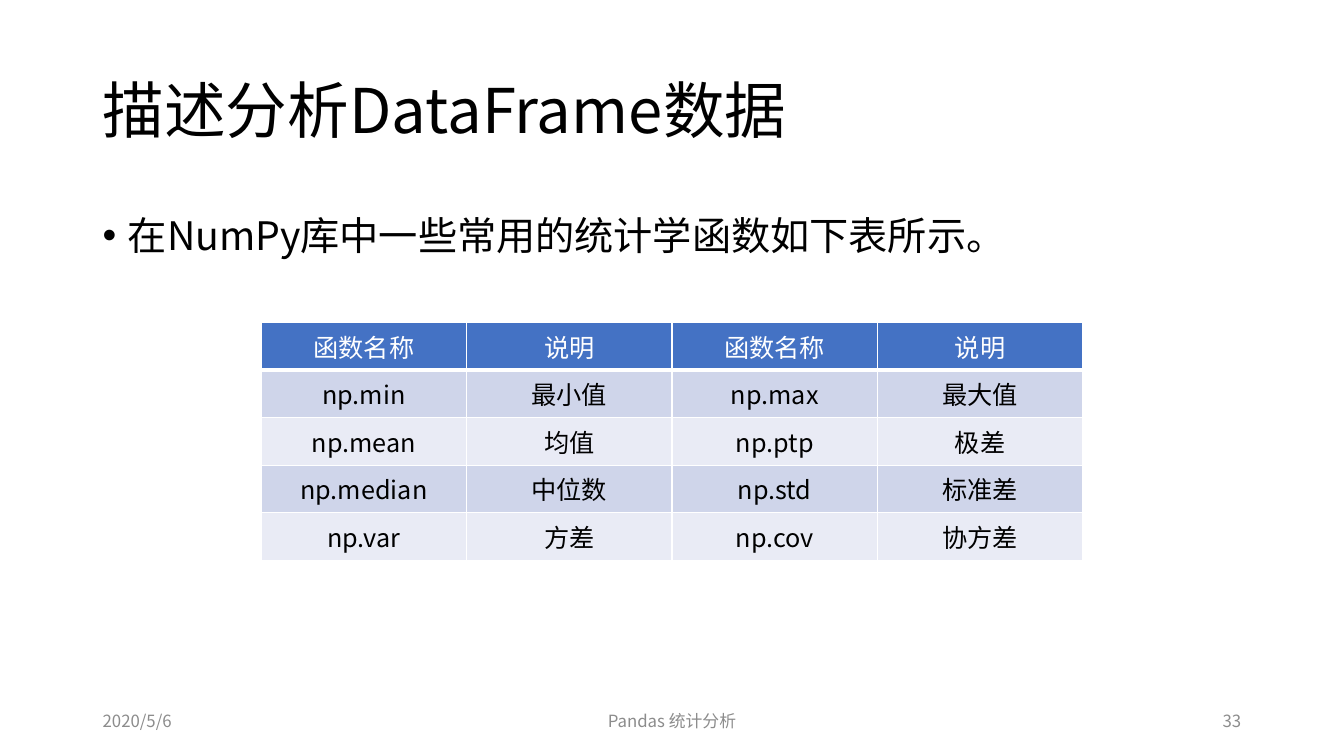
from lxml import etree
from pptx import Presentation
from pptx.dml.color import RGBColor
from pptx.enum.text import MSO_ANCHOR, PP_ALIGN
from pptx.oxml.ns import qn
from pptx.util import Inches, Pt

LEFT, CENTER, RIGHT = PP_ALIGN.LEFT, PP_ALIGN.CENTER, PP_ALIGN.RIGHT
TOP, MIDDLE = MSO_ANCHOR.TOP, MSO_ANCHOR.MIDDLE
BLACK = RGBColor(0x00, 0x00, 0x00)
WHITE = RGBColor(0xFF, 0xFF, 0xFF)
GRAY = RGBColor(0x8C, 0x8C, 0x8C)
HEADER_BLUE = RGBColor(0x44, 0x72, 0xC4)
BAND_DARK = RGBColor(0xCF, 0xD5, 0xEA)
BAND_LIGHT = RGBColor(0xE9, 0xEB, 0xF5)
FONT = "Noto Sans CJK SC"

SLIDE_WIDTH, SLIDE_HEIGHT = 13.33, 7.5
MARGIN = 0.92
CONTENT_WIDTH = SLIDE_WIDTH - 2 * MARGIN


def format_text(text_frame, size, color, alignment):
    paragraph = text_frame.paragraphs[0]
    paragraph.alignment = alignment
    for run in paragraph.runs:
        run.font.size = Pt(size)
        run.font.bold = False
        run.font.color.rgb = color
        run.font.name = FONT
        east_asian = etree.SubElement(run.font._element, qn("a:ea"))
        east_asian.set("typeface", FONT)


def add_text(text, left, top, width, height, size, color, alignment=LEFT, anchor=MIDDLE):
    box = slide.shapes.add_textbox(Inches(left), Inches(top), Inches(width), Inches(height))
    text_frame = box.text_frame
    text_frame.word_wrap = True
    text_frame.vertical_anchor = anchor
    text_frame.text = text
    format_text(text_frame, size, color, alignment)
    return text_frame.paragraphs[0]


presentation = Presentation()
presentation.slide_width = Inches(SLIDE_WIDTH)
presentation.slide_height = Inches(SLIDE_HEIGHT)
slide = presentation.slides.add_slide(presentation.slide_layouts[6])

# Title
title = add_text("描述分析DataFrame数据", MARGIN, 0.4, CONTENT_WIDTH, 1.45, 44, BLACK)
title.line_spacing = 0.9

# Bulleted introduction
introduction = add_text("在NumPy库中一些常用的统计学函数如下表所示。",
                        MARGIN, 2, CONTENT_WIDTH, 4.76, 28, BLACK, anchor=TOP)
introduction.line_spacing = 1.1
introduction.space_before = Pt(10)
properties = introduction._p.get_or_add_pPr()
properties.set("marL", str(Inches(0.25)))
properties.set("indent", str(-Inches(0.25)))
etree.SubElement(properties, qn("a:buFont")).set("typeface", "Arial")
etree.SubElement(properties, qn("a:buChar")).set("char", "•")

# Footer: date, topic, page number
FOOTER = [
    ("2020/5/6", MARGIN, 3, LEFT),
    ("Pandas 统计分析", (SLIDE_WIDTH - 4.5) / 2, 4.5, CENTER),
    ("33", SLIDE_WIDTH - MARGIN - 3, 3, RIGHT),
]
for text, left, width, alignment in FOOTER:
    add_text(text, left, 6.95, width, 0.4, 12, GRAY, alignment)

# Table of statistical functions
FUNCTIONS = [
    ["函数名称", "说明", "函数名称", "说明"],
    ["np.min", "最小值", "np.max", "最大值"],
    ["np.mean", "均值", "np.ptp", "极差"],
    ["np.median", "中位数", "np.std", "标准差"],
    ["np.var", "方差", "np.cov", "协方差"],
]
table = slide.shapes.add_table(len(FUNCTIONS), len(FUNCTIONS[0]), Inches(2.59), Inches(3.2),
                               Inches(8.15), Inches(2.36)).table
for row_index, row in enumerate(FUNCTIONS):
    is_header = row_index == 0
    band = BAND_DARK if row_index % 2 else BAND_LIGHT
    for column_index, text in enumerate(row):
        cell = table.cell(row_index, column_index)
        cell.text = text
        cell.vertical_anchor = MIDDLE
        cell.margin_left = cell.margin_right = Inches(0.06)
        cell.margin_top = cell.margin_bottom = 0
        format_text(cell.text_frame, 18, WHITE if is_header else BLACK, CENTER)

        # White borders, heavier below the header
        cell_properties = cell._tc.get_or_add_tcPr()
        for side in ("lnL", "lnR", "lnT", "lnB"):
            border = etree.SubElement(cell_properties, qn("a:" + side))
            border.set("w", str(Pt(3 if is_header and side == "lnB" else 1)))
            border_fill = etree.SubElement(border, qn("a:solidFill"))
            etree.SubElement(border_fill, qn("a:srgbClr")).set("val", str(WHITE))
        cell.fill.solid()
        cell.fill.fore_color.rgb = HEADER_BLUE if is_header else band

presentation.save("out.pptx")
